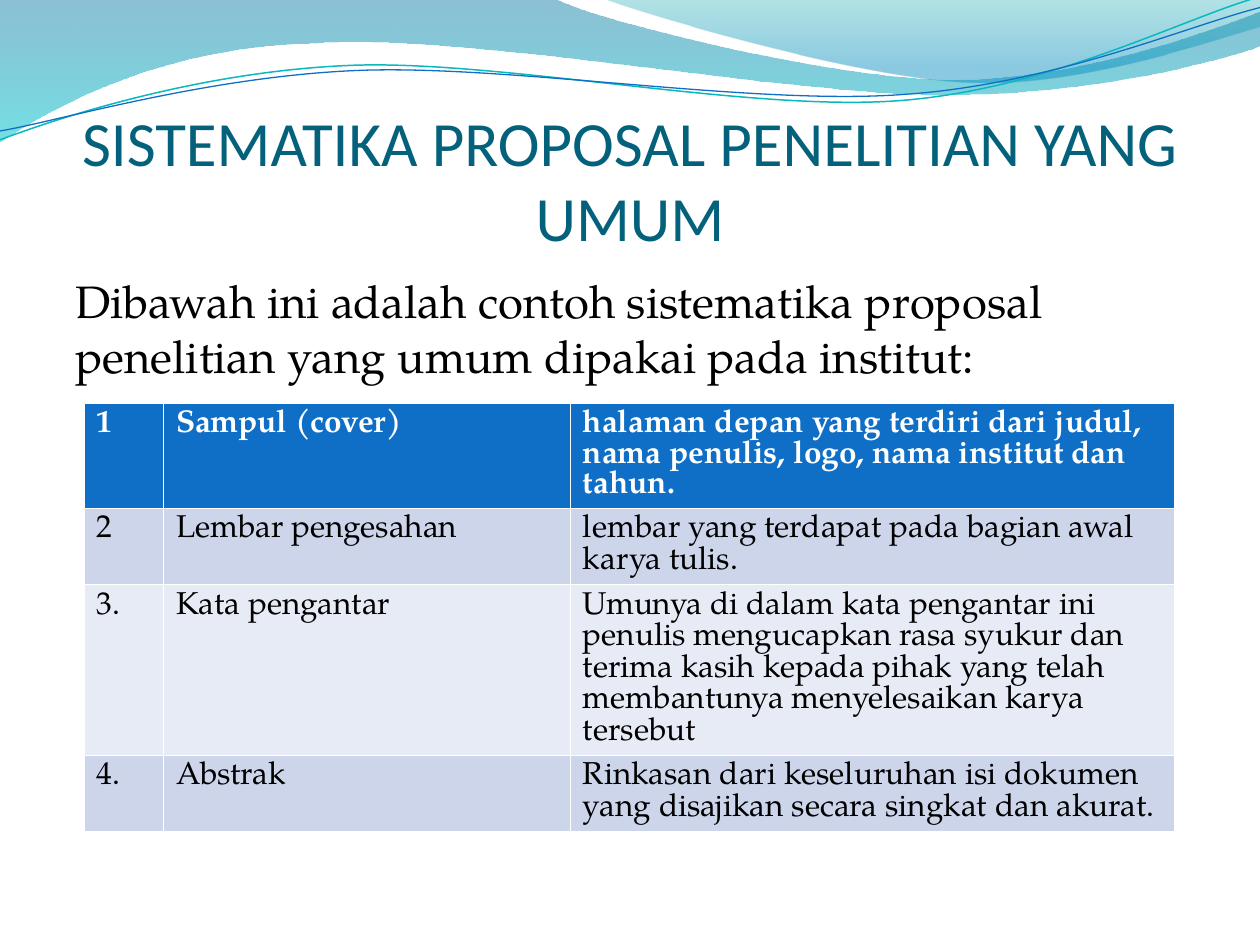
from pptx import Presentation
from pptx.dml.color import RGBColor
from pptx.enum.text import MSO_ANCHOR, PP_ALIGN
from pptx.oxml import parse_xml
from pptx.oxml.ns import nsdecls, qn
from pptx.util import Inches, Pt

HEADING, BODY = "Calibri", "TeX Gyre Pagella"
WHITE, BLACK, BLUE, TEAL = "FFFFFF", "000000", "0F6FC6", "04617B"
BAND_DARK, BAND_LIGHT = "CCD5EA", "E7EBF5"

WAVES = [
    ([(0, 0), (44, -0.1),
      (47.6, 1.7, 66.4, 6.3, 75.8, 6.3), (85.3, 6.3, 95.8, 2.6, 100, 0.9),
      (100.1, 3.6),
      (98.3, 4.4, 87, 7.6, 74.6, 7.5), (62.2, 7.5, 38.2, 2.8, 25.7, 3.4),
      (12.9, 3.6, 4.6, 8.3, -0.1, 11.3), (0, 0)],
     [(0, "0074A1", 45), (100, "00C6CF", 55)]),
    ([(47.9, -0.1),
      (50.9, 1.1, 68.2, 6.2, 76.9, 6.5), (85.6, 6.9, 96.1, 3.2, 100, 2.1),
      (100, 0), (47.9, -0.1)],
     [(0, "00A1A9", 30), (80, "008BBF", 45)]),
]
STRANDS = [
    ([(0, 11.1),
      (4.8, 9.3, 15.8, 5.7, 27.7, 5.2), (39.5, 4.7, 59.3, 8.9, 71.3, 8),
      (83.3, 7.1, 93.8, 1.5, 99.8, -0.2)], "0AB8BF", 0.85),
    ([(0, 10.4),
      (4.7, 9.6, 16.4, 6.1, 28.3, 5.6), (40.3, 5.1, 59.7, 8.4, 71.7, 7.5),
      (83.6, 6.7, 94.1, 2.1, 100, 0.6)], BLUE, 0.75),
]
ROWS = [
    ("1", "Sampul (cover)",
     "halaman depan yang terdiri dari judul, nama penulis, logo, nama institut dan tahun."),
    ("2", "Lembar pengesahan", "lembar yang terdapat pada bagian awal karya tulis."),
    ("3.", "Kata pengantar",
     "Umunya di dalam kata pengantar ini penulis mengucapkan rasa syukur dan terima kasih "
     "kepada pihak yang telah membantunya menyelesaikan karya tersebut"),
    ("4.", "Abstrak",
     "Rinkasan dari keseluruhan isi dokumen yang disajikan secara singkat dan akurat."),
]


def rgb(value):
    """Return the colour of a hex string."""
    return RGBColor.from_string(value)


def write(tf, text, size=18, font=BODY, color=BLACK, bold=False, align=PP_ALIGN.LEFT,
          before=0, spacing=None):
    """Put one formatted paragraph into a text frame."""
    p = tf.paragraphs[0]
    p.alignment, p.space_before, p.line_spacing = align, Pt(before), spacing
    r = p.add_run()
    r.text = text
    r.font.size, r.font.name, r.font.bold = Pt(size), font, bold
    r.font.color.rgb = rgb(color)


class Deck:
    """Holds the style and the current slide on a 100 by 75 grid."""

    def __init__(self, width=10, height=7.5):
        """Open a presentation with one blank slide."""
        self.prs = Presentation()
        self.prs.slide_width, self.prs.slide_height = Inches(width), Inches(height)
        self.unit = self.prs.slide_width // 100
        self.s = self.prs.slides.add_slide(self.prs.slide_layouts[6])

    def grid(self, *values):
        """Convert grid units to lengths."""
        return [round(v * self.unit) for v in values]

    def curve(self, steps, close):
        """Draw an unfilled outline through points and cubic curves."""
        first, *rest = [self.grid(*step) for step in steps]
        fb = self.s.shapes.build_freeform(*first)
        fb.add_line_segments([step[-2:] for step in rest], close=close)
        sp = fb.convert_to_shape()
        for step, line in zip(rest, list(sp._element.iter(qn("a:lnTo")))):
            if len(step) == 6:
                pts = "".join(f'<a:pt x="{x - sp.left}" y="{y - sp.top}"/>'
                              for x, y in zip(step[::2], step[1::2]))
                line.getparent().replace(line, parse_xml(
                    f'<a:cubicBezTo {nsdecls("a")}>{pts}</a:cubicBezTo>'))
        sp.shadow.inherit = False
        sp.fill.background()
        return sp

    def wave(self, steps, stops):
        """Draw a closed wave with a translucent vertical gradient."""
        sp = self.curve(steps, True)
        sp.line.fill.background()
        marks = "".join(
            f'<a:gs pos="{pos * 1000}"><a:srgbClr val="{color}">'
            f'<a:alpha val="{alpha * 1000}"/></a:srgbClr></a:gs>'
            for pos, color, alpha in stops)
        grad = parse_xml(f'<a:gradFill {nsdecls("a")}><a:gsLst>{marks}</a:gsLst>'
                         '<a:lin ang="5400000" scaled="0"/></a:gradFill>')
        spPr = sp._element.spPr
        spPr.replace(spPr.find(qn("a:noFill")), grad)

    def strand(self, steps, color, weight):
        """Draw an open curved line."""
        sp = self.curve(steps, False)
        sp.line.color.rgb, sp.line.width = rgb(color), Pt(weight)

    def text(self, box, text, anchor=MSO_ANCHOR.TOP, margins=(1, 0.5, 1, 0.5), **style):
        """Add a wrapped text box."""
        tf = self.s.shapes.add_textbox(*self.grid(*box)).text_frame
        tf.word_wrap, tf.vertical_anchor = True, anchor
        (tf.margin_left, tf.margin_top,
         tf.margin_right, tf.margin_bottom) = self.grid(*margins)
        write(tf, text, **style)

    def table(self, left, top, cols, height, rows):
        """Add a table with a dark header and banded rows that grow with their text."""
        box = self.grid(left, top, sum(cols), height * len(rows))
        table = self.s.shapes.add_table(len(rows), len(cols), *box).table
        for col, width in zip(table.columns, self.grid(*cols)):
            col.width = width
        for i, row in enumerate(table.rows):
            head = i == 0
            fill = BLUE if head else (BAND_LIGHT, BAND_DARK)[i % 2]
            for cell, text in zip(row.cells, rows[i]):
                cell.fill.solid()
                cell.fill.fore_color.rgb = rgb(fill)
                cell.margin_top, cell.margin_bottom = self.grid(0.55, 0.5)
                write(cell.text_frame, text, color=WHITE if head else BLACK, bold=head,
                      spacing=Pt(17.5 if head else 18))


def main():
    """Build the slide and save it."""
    deck = Deck()
    for wave in WAVES:
        deck.wave(*wave)
    for strand in STRANDS:
        deck.strand(*strand)
    deck.text((5, 7.7, 90, 12.5), "SISTEMATIKA PROPOSAL PENELITIAN YANG UMUM",
              anchor=MSO_ANCHOR.BOTTOM, margins=(0, 0.5, 0, 0),
              size=36, font=HEADING, color=TEAL, align=PP_ALIGN.CENTER)
    deck.text((5, 21.2, 90, 51),
              "Dibawah ini adalah contoh sistematika proposal penelitian yang umum "
              "dipakai pada institut:", size=26, before=5.2)
    deck.table(6.67, 32, (6.3, 32.3, 48), 4.1, ROWS)
    deck.prs.save("out.pptx")


if __name__ == "__main__":
    main()
